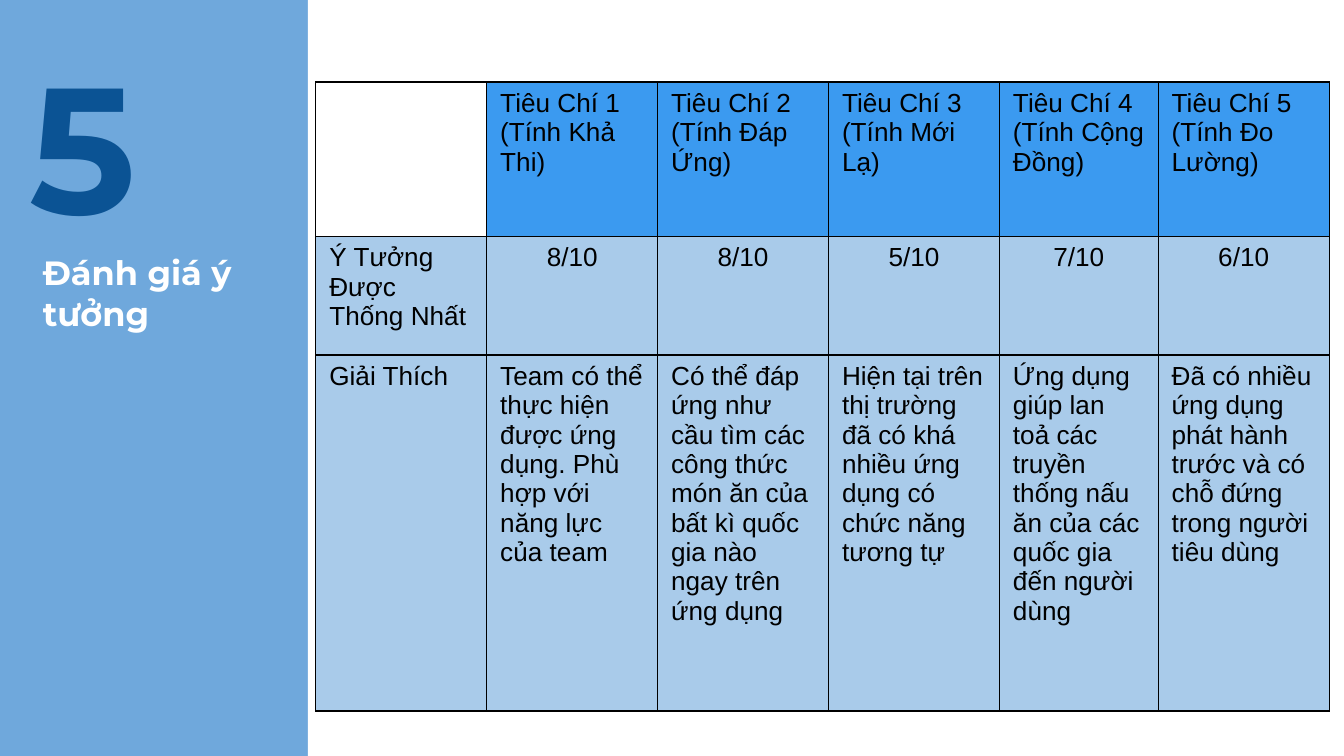
from lxml import etree
from pptx import Presentation
from pptx.dml.color import RGBColor
from pptx.enum.shapes import MSO_SHAPE
from pptx.enum.text import PP_ALIGN
from pptx.oxml.ns import qn
from pptx.util import Cm, Pt

RECTANGLE = MSO_SHAPE.RECTANGLE
LEFT, CENTER = PP_ALIGN.LEFT, PP_ALIGN.CENTER

SKY, NAVY, WHITE, BLACK = "6FA8DC", "0B5394", "FFFFFF", "000000"
HEADER_BLUE, BODY_BLUE = "3B9AF0", "A9CBEA"
COLUMN_WIDTHS = [3.23, 3.23, 3.23, 3.23, 3.0, 3.23]
ROW_HEIGHTS = [2.92, 2.24, 6.73]
CRITERIA = [
    ("Tính Khả Thi", "8/10",
     "Team có thể thực hiện được ứng dụng. Phù hợp với năng lực của team"),
    ("Tính Đáp Ứng", "8/10",
     "Có thể đáp ứng như cầu tìm các công thức món ăn của bất kì quốc gia nào "
     "ngay trên ứng dụng"),
    ("Tính Mới Lạ", "5/10",
     "Hiện tại trên thị trường đã có khá nhiều ứng dụng có chức năng tương tự"),
    ("Tính Cộng Đồng", "7/10",
     "Ứng dụng giúp lan toả các truyền thống nấu ăn của các quốc gia "
     "đến người dùng"),
    ("Tính Đo Lường", "6/10",
     "Đã có nhiều ứng dụng phát hành trước và có chỗ đứng trong người tiêu dùng"),
]


def paint(fill, color):
    """Give a fill one solid colour."""
    fill.solid()
    fill.fore_color.rgb = RGBColor.from_string(color)


def add_span(para, text, font, size, color, bold=False):
    """Add one formatted run to a paragraph."""
    span = para.add_run()
    span.text = text
    span.font.name = font
    span.font.size = Pt(size)
    span.font.bold = bold
    span.font.color.rgb = RGBColor.from_string(color)


def add_panel(page, left, top, width, height, color):
    """Add a plain rectangle without an outline."""
    panel = page.shapes.add_shape(RECTANGLE, Cm(left), Cm(top), Cm(width), Cm(height))
    panel.shadow.inherit = False
    paint(panel.fill, color)
    panel.line.fill.background()


def add_heading(page, text, left, top, width, height, size, color):
    """Add a bold heading in a wrapping text box."""
    box = page.shapes.add_textbox(Cm(left), Cm(top), Cm(width), Cm(height))
    frame = box.text_frame
    frame.word_wrap = True
    frame.margin_left = frame.margin_right = Cm(0.25)
    frame.margin_top = frame.margin_bottom = Cm(0.25)
    add_span(frame.paragraphs[0], text, "Montserrat", size, color, bold=True)


def add_borders(cell):
    """Draw a thin black line on each side of a cell."""
    properties = cell._tc.get_or_add_tcPr()
    for side in ("a:lnL", "a:lnR", "a:lnT", "a:lnB"):
        line = etree.SubElement(properties, qn(side), w=str(Pt(0.75)))
        solid = etree.SubElement(line, qn("a:solidFill"))
        etree.SubElement(solid, qn("a:srgbClr"), val=BLACK)


def fill_cell(cell, lines, color, alignment):
    """Write the lines of a cell and set its look."""
    add_borders(cell)
    if color:
        paint(cell.fill, color)
    else:
        cell.fill.background()
    frame = cell.text_frame
    for index, text in enumerate(lines):
        para = frame.add_paragraph() if index else frame.paragraphs[0]
        para.alignment = alignment
        add_span(para, text, "Arial", 14, BLACK)


def add_score_table(page, left, top):
    """Add the table of criteria, scores and explanations."""
    frame = page.shapes.add_table(
        len(ROW_HEIGHTS), len(COLUMN_WIDTHS), Cm(left), Cm(top),
        Cm(sum(COLUMN_WIDTHS)), Cm(sum(ROW_HEIGHTS)))
    table = frame.table
    table.first_row = table.horz_banding = False
    for column, width in zip(table.columns, COLUMN_WIDTHS):
        column.width = Cm(width)
    for row, height in zip(table.rows, ROW_HEIGHTS):
        row.height = Cm(height)
    fill_cell(table.cell(0, 0), [], None, LEFT)
    fill_cell(table.cell(1, 0), ["Ý Tưởng Được Thống Nhất"], BODY_BLUE, LEFT)
    fill_cell(table.cell(2, 0), ["Giải Thích"], BODY_BLUE, LEFT)
    for number, (name, score, reason) in enumerate(CRITERIA, start=1):
        header = [f"Tiêu Chí {number}", f"({name})"]
        fill_cell(table.cell(0, number), header, HEADER_BLUE, LEFT)
        fill_cell(table.cell(1, number), [score], BODY_BLUE, CENTER)
        fill_cell(table.cell(2, number), [reason], BODY_BLUE, LEFT)


def main():
    """Build the idea evaluation slide."""
    deck = Presentation()
    deck.slide_width, deck.slide_height = Cm(25.4), Cm(14.29)
    page = deck.slides.add_slide(deck.slide_layouts[6])
    paint(page.background.fill, SKY)
    add_panel(page, 5.82, 0, 19.58, 14.29, WHITE)
    add_heading(page, "Đánh giá ý tưởng", 0.56, 4.52, 4.75, 2.39, 18, WHITE)
    add_heading(page, "5", 0.3, 0.41, 5.03, 3.48, 96, NAVY)
    add_score_table(page, 5.97, 1.55)
    deck.save("out.pptx")


if __name__ == "__main__":
    main()
